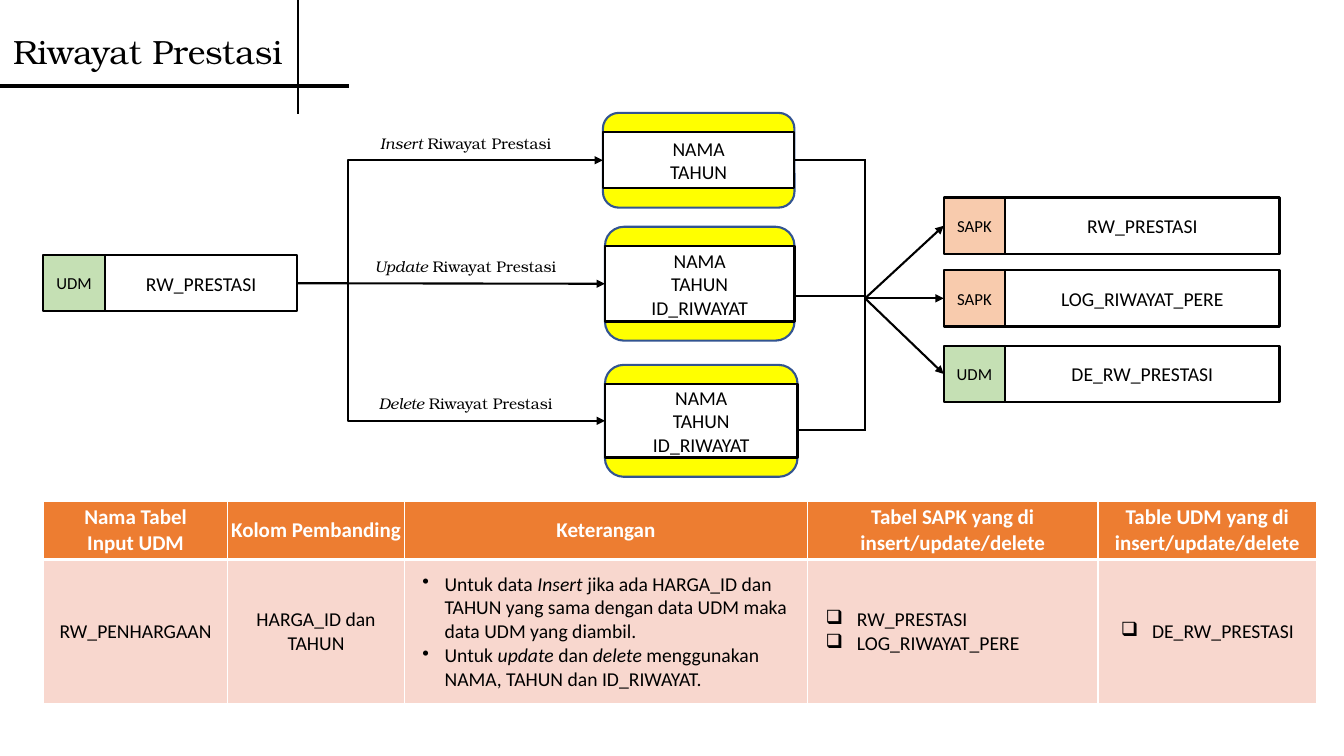
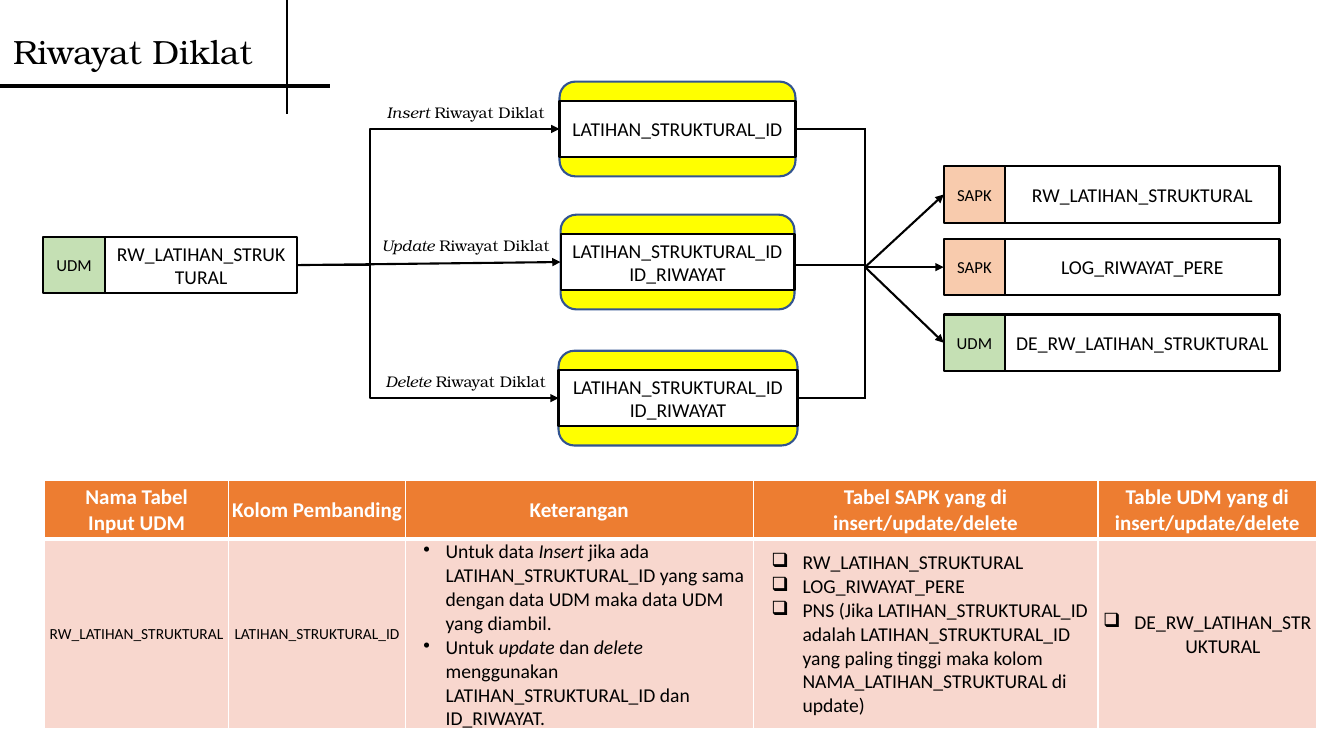
from dataclasses import dataclass

from pptx import Presentation
from pptx.dml.color import RGBColor
from pptx.enum.shapes import MSO_CONNECTOR as Connector, MSO_SHAPE as Preset
from pptx.enum.text import MSO_ANCHOR as Anchor, MSO_AUTO_SIZE as AutoSize, PP_ALIGN as Align
from pptx.oxml.ns import qn
from pptx.oxml.xmlchemy import OxmlElement
from pptx.util import Inches, Pt

BLACK = RGBColor(0x00, 0x00, 0x00)
WHITE = RGBColor(0xFF, 0xFF, 0xFF)
YELLOW = RGBColor(0xFF, 0xFF, 0x00)
NAVY = RGBColor(0x32, 0x54, 0x91)
PEACH = RGBColor(0xF8, 0xCB, 0xAD)
GREEN = RGBColor(0xC5, 0xE0, 0xB4)
ORANGE = RGBColor(0xED, 0x7D, 0x31)
PINK = RGBColor(0xF8, 0xD7, 0xCE)

BODY_FONT = "Calibri"
DISPLAY_FONT = "TeX Gyre Bonum"

TAG_FILLS = {"SAPK": PEACH, "UDM": GREEN}
TAG_WIDTH = 0.61
BOX_HEIGHT = 0.56
SOURCE_LEFT, SOURCE_RIGHT = 0.43, 2.95
TARGET_LEFT, TARGET_RIGHT = 9.36, 12.69
TARGET_OFFSETS = (0, 0.72, 1.47)
LABEL_CENTER, LABEL_WIDTH, LABEL_RISE = 4.62, 2, 0.31
CAP = 0.19
MERGE_X = 8.58
HEADERS = (
    ("Nama Tabel", "Input UDM"),
    ("Kolom Pembanding",),
    ("Keterangan",),
    ("Tabel SAPK yang di insert/update/delete",),
    ("Table UDM yang di insert/update/delete",),
)
HEADER_HEIGHT = 0.58


@dataclass(frozen=True)
class TextStyle:
    size: float
    font: str = BODY_FONT
    color: RGBColor = BLACK
    bold: bool = False
    align: Align = Align.CENTER
    bullet: str = ""
    margin: float = 0
    hanging: float = 0


@dataclass(frozen=True)
class Branch:
    action: str
    left: float
    top: float
    width: float
    height: float
    fields: tuple[str, ...]
    exit_y: float

    @property
    def middle(self) -> float:
        return self.top + self.height / 2


@dataclass(frozen=True)
class HistorySlide:
    title: str
    rule_right: float
    post_x: float
    source: str
    source_top: float
    trunk_x: float
    branches: tuple[Branch, ...]
    targets: tuple[tuple[str, str], ...]
    targets_top: float
    table_left: float
    table_top: float
    columns: tuple[float, ...]
    body_height: float
    key_size: float
    cells: tuple[tuple[str, ...], ...]


TITLE = TextStyle(24, DISPLAY_FONT, align=Align.LEFT)
LABEL = TextStyle(11, DISPLAY_FONT)
NAME = TextStyle(14)
TAG = TextStyle(12)
HEADER = TextStyle(15, color=WHITE, bold=True)
NOTE = TextStyle(14, align=Align.LEFT, bullet="•", margin=0.39, hanging=0.22)
CHECK = TextStyle(14, align=Align.LEFT, bullet="❑", margin=0.48, hanging=0.31)
CENTERED_CHECK = TextStyle(14, bullet="❑", margin=0.31, hanging=0.31)

STRUCTURAL_ID = "LATIHAN_STRUKTURAL_ID"

HISTORIES = (
    HistorySlide(
        title="Riwayat Prestasi", rule_right=3.46, post_x=2.96,
        source="RW_PRESTASI", source_top=2.53, trunk_x=3.45,
        branches=(
            Branch("Insert", 5.98, 1.31, 1.9, 0.56, ("NAMA", "TAHUN"), 1.59),
            Branch("Update", 6, 2.44, 1.88, 0.75, ("NAMA", "TAHUN", "ID_RIWAYAT"), 2.94),
            Branch("Delete", 6, 3.81, 1.91, 0.73, ("NAMA", "TAHUN", "ID_RIWAYAT"), 4.27),
        ),
        targets=(("SAPK", "RW_PRESTASI"), ("SAPK", "LOG_RIWAYAT_PERE"), ("UDM", "DE_RW_PRESTASI")),
        targets_top=1.96, table_left=0.43, table_top=4.97,
        columns=(1.83, 1.75, 4, 2.88, 2.17), body_height=1.43, key_size=14,
        cells=(
            ("RW_PENHARGAAN",),
            ("HARGA_ID dan", "TAHUN"),
            ("Untuk data *Insert *jika ada HARGA_ID dan TAHUN yang sama dengan data UDM maka data UDM yang diambil.",
             "Untuk *update* dan *delete *menggunakan NAMA, TAHUN dan ID_RIWAYAT."),
            ("RW_PRESTASI", "LOG_RIWAYAT_PERE"),
            ("DE_RW_PRESTASI",),
        ),
    ),
    HistorySlide(
        title="Riwayat Diklat", rule_right=3.27, post_x=2.85,
        source="RW_LATIHAN_STRUKTURAL", source_top=2.35, trunk_x=3.67,
        branches=(
            Branch("Insert", 5.55, 1, 2.34, 0.56, (STRUCTURAL_ID,), 1.28),
            Branch("Update", 5.56, 2.32, 2.32, 0.56, (STRUCTURAL_ID, "ID_RIWAYAT"), 2.63),
            Branch("Delete", 5.54, 3.67, 2.37, 0.56, (STRUCTURAL_ID, "ID_RIWAYAT"), 3.95),
        ),
        targets=(("SAPK", "RW_LATIHAN_STRUKTURAL"), ("SAPK", "LOG_RIWAYAT_PERE"),
                 ("UDM", "DE_RW_LATIHAN_STRUKTURAL")),
        targets_top=1.65, table_left=0.44, table_top=4.77,
        columns=(1.83, 1.75, 3.45, 3.42, 2.17), body_height=1.87, key_size=11,
        cells=(
            ("RW_LATIHAN_STRUKTURAL",),
            (STRUCTURAL_ID,),
            ("Untuk data *Insert *jika ada LATIHAN_STRUKTURAL_ID yang sama dengan data UDM maka data UDM yang diambil.",
             "Untuk *update* dan *delete *menggunakan LATIHAN_STRUKTURAL_ID dan ID_RIWAYAT."),
            ("RW_LATIHAN_STRUKTURAL", "LOG_RIWAYAT_PERE",
             "PNS (Jika LATIHAN_STRUKTURAL_ID adalah LATIHAN_STRUKTURAL_ID yang paling tinggi "
             "maka kolom NAMA_LATIHAN_STRUKTURAL di update)"),
            ("DE_RW_LATIHAN_STRUKTURAL",),
        ),
    ),
)


def write(text_frame, lines: tuple[str, ...], style: TextStyle) -> None:
    for index, line in enumerate(lines):
        paragraph = text_frame.add_paragraph() if index else text_frame.paragraphs[0]
        paragraph.alignment = style.align
        if style.bullet:
            properties = paragraph._p.get_or_add_pPr()
            properties.set("marL", str(Inches(style.margin)))
            properties.set("indent", str(-Inches(style.hanging)))
            bullet = OxmlElement("a:buChar")
            bullet.set("char", style.bullet)
            properties.append(bullet)
        for part, text in enumerate(line.split("*")):
            if not text:
                continue
            run = paragraph.add_run()
            run.text = text
            run.font.name = style.font
            run.font.size = Pt(style.size)
            run.font.bold = style.bold
            run.font.italic = part % 2 == 1
            run.font.color.rgb = style.color


def add_box(slide, preset: Preset, left: float, top: float, width: float, height: float,
            fill: RGBColor, outline: RGBColor = BLACK):
    shape = slide.shapes.add_shape(preset, Inches(left), Inches(top), Inches(width), Inches(height))
    shape.shadow.inherit = False
    shape.fill.solid()
    shape.fill.fore_color.rgb = fill
    shape.line.color.rgb = outline
    shape.line.width = Pt(1.5)
    shape.text_frame.vertical_anchor = Anchor.MIDDLE
    return shape


def add_line(slide, start: tuple[float, float], end: tuple[float, float], arrow: bool = False,
             bend_x: float | None = None, weight: float = 1.5) -> None:
    kind = Connector.STRAIGHT if bend_x is None else Connector.ELBOW
    connector = slide.shapes.add_connector(kind, *(Inches(value) for value in (*start, *end)))
    connector.line.color.rgb = BLACK
    connector.line.width = Pt(weight)
    properties = connector.element.spPr
    if arrow:
        head = OxmlElement("a:tailEnd")
        head.set("type", "triangle")
        properties.get_or_add_ln().append(head)
    if bend_x is not None:
        guide = OxmlElement("a:gd")
        guide.set("name", "adj1")
        guide.set("fmla", f"val {round((bend_x - start[0]) / (end[0] - start[0]) * 100000)}")
        properties.find(qn("a:prstGeom")).get_or_add_avLst().append(guide)
    properties.append(OxmlElement("a:effectLst"))


def add_tagged_box(slide, left: float, right: float, top: float, tag: str, name: str) -> None:
    name_left = left + TAG_WIDTH
    name_box = add_box(slide, Preset.RECTANGLE, name_left, top, right - name_left, BOX_HEIGHT, WHITE)
    write(name_box.text_frame, (name,), NAME)
    tag_box = add_box(slide, Preset.RECTANGLE, left, top, TAG_WIDTH, BOX_HEIGHT, TAG_FILLS[tag])
    write(tag_box.text_frame, (tag,), TAG)


def add_title(slide, history: HistorySlide) -> None:
    title = slide.shapes.title
    title.left, title.top, title.width, title.height = (Inches(value) for value in (0.03, 0.26, 2.92, 0.5))
    text_frame = title.text_frame
    text_frame.word_wrap = False
    text_frame.auto_size = AutoSize.NONE
    text_frame.vertical_anchor = Anchor.TOP
    write(text_frame, (history.title,), TITLE)
    add_line(slide, (0, 0.85), (history.rule_right, 0.85), weight=3)
    add_line(slide, (history.post_x, 0), (history.post_x, 1.13))


def add_branch(slide, history: HistorySlide, branch: Branch) -> None:
    add_box(slide, Preset.ROUNDED_RECTANGLE, branch.left, branch.top - CAP, branch.width,
            branch.height + 2 * CAP, YELLOW, NAVY)
    fields = add_box(slide, Preset.RECTANGLE, branch.left, branch.top, branch.width, branch.height, WHITE)
    write(fields.text_frame, branch.fields, NAME)
    label = slide.shapes.add_textbox(Inches(LABEL_CENTER - LABEL_WIDTH / 2), Inches(branch.middle - LABEL_RISE),
                                     Inches(LABEL_WIDTH), Inches(0.29))
    label.text_frame.word_wrap = False
    write(label.text_frame, (f"*{branch.action} *{history.title}",), LABEL)
    bend_x = None if branch.action == "Update" else history.trunk_x
    add_line(slide, (SOURCE_RIGHT, history.source_top + BOX_HEIGHT / 2), (branch.left, branch.middle), True, bend_x)
    add_line(slide, (branch.left + branch.width, branch.exit_y), (MERGE_X + 0.01, branch.exit_y))


def add_flow(slide, history: HistorySlide) -> None:
    add_tagged_box(slide, SOURCE_LEFT, SOURCE_RIGHT, history.source_top, "UDM", history.source)
    for branch in history.branches:
        add_branch(slide, history, branch)
    add_line(slide, (MERGE_X, history.branches[0].exit_y), (MERGE_X, history.branches[-1].exit_y))
    hub_y = history.targets_top + TARGET_OFFSETS[1] + BOX_HEIGHT / 2
    for offset, (tag, name) in zip(TARGET_OFFSETS, history.targets):
        top = history.targets_top + offset
        add_tagged_box(slide, TARGET_LEFT, TARGET_RIGHT, top, tag, name)
        add_line(slide, (MERGE_X, hub_y), (TARGET_LEFT, top + BOX_HEIGHT / 2), True)


def fill_cell(cell, lines: tuple[str, ...], style: TextStyle, fill: RGBColor, heavy_edge: str) -> None:
    cell.margin_left = cell.margin_right = cell.margin_top = Inches(0.01)
    cell.margin_bottom = 0
    cell.vertical_anchor = Anchor.MIDDLE
    properties = cell._tc.get_or_add_tcPr()
    for edge in ("lnL", "lnR", "lnT", "lnB"):
        border = OxmlElement(f"a:{edge}")
        border.set("w", str(Pt(3 if edge == heavy_edge else 1)))
        solid = OxmlElement("a:solidFill")
        color = OxmlElement("a:srgbClr")
        color.set("val", str(WHITE))
        solid.append(color)
        border.append(solid)
        properties.append(border)
    cell.fill.solid()
    cell.fill.fore_color.rgb = fill
    write(cell.text_frame, lines, style)


def add_summary(slide, history: HistorySlide) -> None:
    frame = slide.shapes.add_table(2, len(HEADERS), Inches(history.table_left), Inches(history.table_top),
                                   Inches(sum(history.columns)), Inches(HEADER_HEIGHT + history.body_height))
    table = frame.table
    table.horz_banding = False
    table.rows[0].height = Inches(HEADER_HEIGHT)
    table.rows[1].height = Inches(history.body_height)
    key = TextStyle(history.key_size)
    styles = (key, key, NOTE, CHECK, CENTERED_CHECK)
    for index, width in enumerate(history.columns):
        table.columns[index].width = Inches(width)
        fill_cell(table.cell(0, index), HEADERS[index], HEADER, ORANGE, "lnB")
        fill_cell(table.cell(1, index), history.cells[index], styles[index], PINK, "lnT")


def main() -> None:
    presentation = Presentation()
    presentation.slide_width = Inches(13.33)
    presentation.slide_height = Inches(7.5)
    for history in HISTORIES:
        slide = presentation.slides.add_slide(presentation.slide_layouts[5])
        add_flow(slide, history)
        add_summary(slide, history)
        add_title(slide, history)
    presentation.save("out.pptx")


if __name__ == "__main__":
    main()
